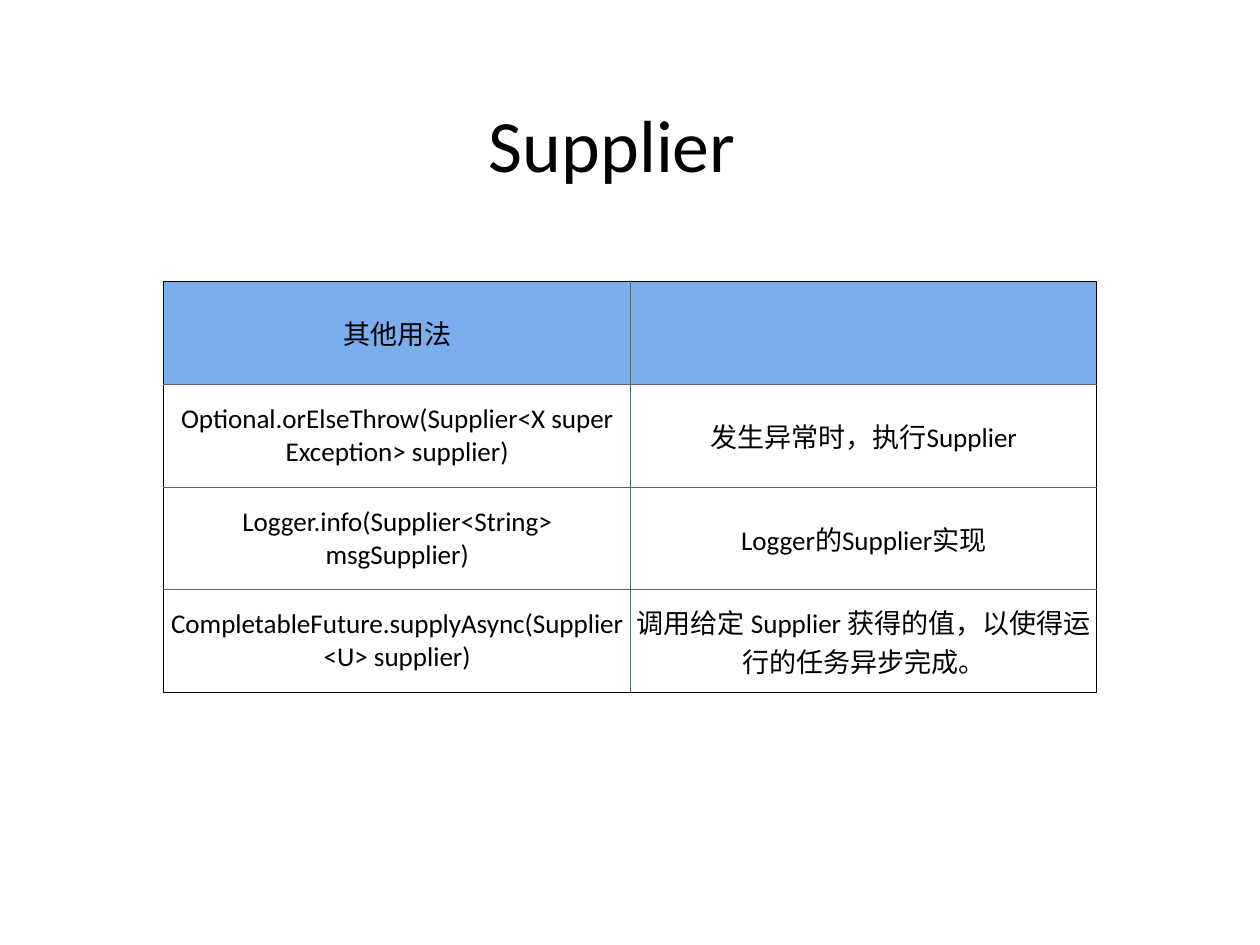
from lxml.etree import SubElement
from pptx import Presentation
from pptx.dml.color import RGBColor
from pptx.enum.text import MSO_ANCHOR, MSO_AUTO_SIZE, PP_ALIGN
from pptx.oxml.ns import qn
from pptx.util import Inches, Pt

COLORS = {
    "text": "000000",
    "header": "7CADED",
    "outer": "000000",
    "header_rule": "576672",
    "inner": "536773",
}
INSET = Inches(0.06)
USAGES = [
    ["其他用法", ""],
    ["Optional.orElseThrow(Supplier<X super Exception> supplier)", "发生异常时，执行Supplier"],
    ["Logger.info(Supplier<String> msgSupplier)", "Logger的Supplier实现"],
    [
        "CompletableFuture.supplyAsync(Supplier<U> supplier)",
        "调用给定 Supplier 获得的值，以使得运行的任务异步完成。",
    ],
]


def write_text(frame, text, size, spacing=1.0, color="text", font="Calibri"):
    paragraph = frame.paragraphs[0]
    paragraph.alignment = PP_ALIGN.CENTER
    paragraph.line_spacing = spacing
    paragraph.font.size = Pt(size)
    if text:
        run = paragraph.add_run()
        run.text = text
        run.font.size = Pt(size)
        run.font.name = font
        run.font.color.rgb = RGBColor.from_string(COLORS[color])


def set_insets(holder):
    holder.margin_left = holder.margin_right = INSET
    holder.margin_top = holder.margin_bottom = INSET
    holder.vertical_anchor = MSO_ANCHOR.MIDDLE


def set_borders(cell, **sides):
    properties = cell._tc.get_or_add_tcPr()
    for side in ("L", "R", "T", "B"):
        line = SubElement(properties, qn(f"a:ln{side}"), w=str(Pt(1)))
        fill = SubElement(line, qn("a:solidFill"))
        SubElement(fill, qn("a:srgbClr"), val=COLORS[sides[side]])


def add_heading(slide, left, top, width, height):
    heading = slide.shapes.title
    heading.left, heading.top = Inches(left), Inches(top)
    heading.width, heading.height = Inches(width), Inches(height)
    frame = heading.text_frame
    set_insets(frame)
    frame.word_wrap = False
    frame.auto_size = MSO_AUTO_SIZE.NONE
    write_text(frame, "Supplier", size=60, spacing=0.9)


def add_usage_table(slide, left, top, width, height):
    last_row, last_column = len(USAGES) - 1, len(USAGES[0]) - 1
    table = slide.shapes.add_table(
        len(USAGES), len(USAGES[0]),
        Inches(left), Inches(top), Inches(width), Inches(height),
    ).table
    table.first_row = table.horz_banding = False
    for row, usage in enumerate(USAGES):
        for column, text in enumerate(usage):
            cell = table.cell(row, column)
            set_insets(cell)
            set_borders(
                cell,
                L="outer" if column == 0 else "inner",
                R="outer" if column == last_column else "inner",
                T={0: "outer", 1: "header_rule"}.get(row, "inner"),
                B={0: "header_rule", last_row: "outer"}.get(row, "inner"),
            )
            if row == 0:
                cell.fill.solid()
                cell.fill.fore_color.rgb = RGBColor.from_string(COLORS["header"])
            else:
                cell.fill.background()
            write_text(cell.text_frame, text, size=22)


def main():
    presentation = Presentation()
    presentation.slide_width = Inches(14.22)
    presentation.slide_height = Inches(10.67)
    slide = presentation.slides.add_slide(presentation.slide_layouts[5])
    add_heading(slide, 5.16, 0.99, 3.5, 1.37)
    add_usage_table(slide, 1.85, 3.18, 10.53, 4.64)
    presentation.save("out.pptx")


if __name__ == "__main__":
    main()
